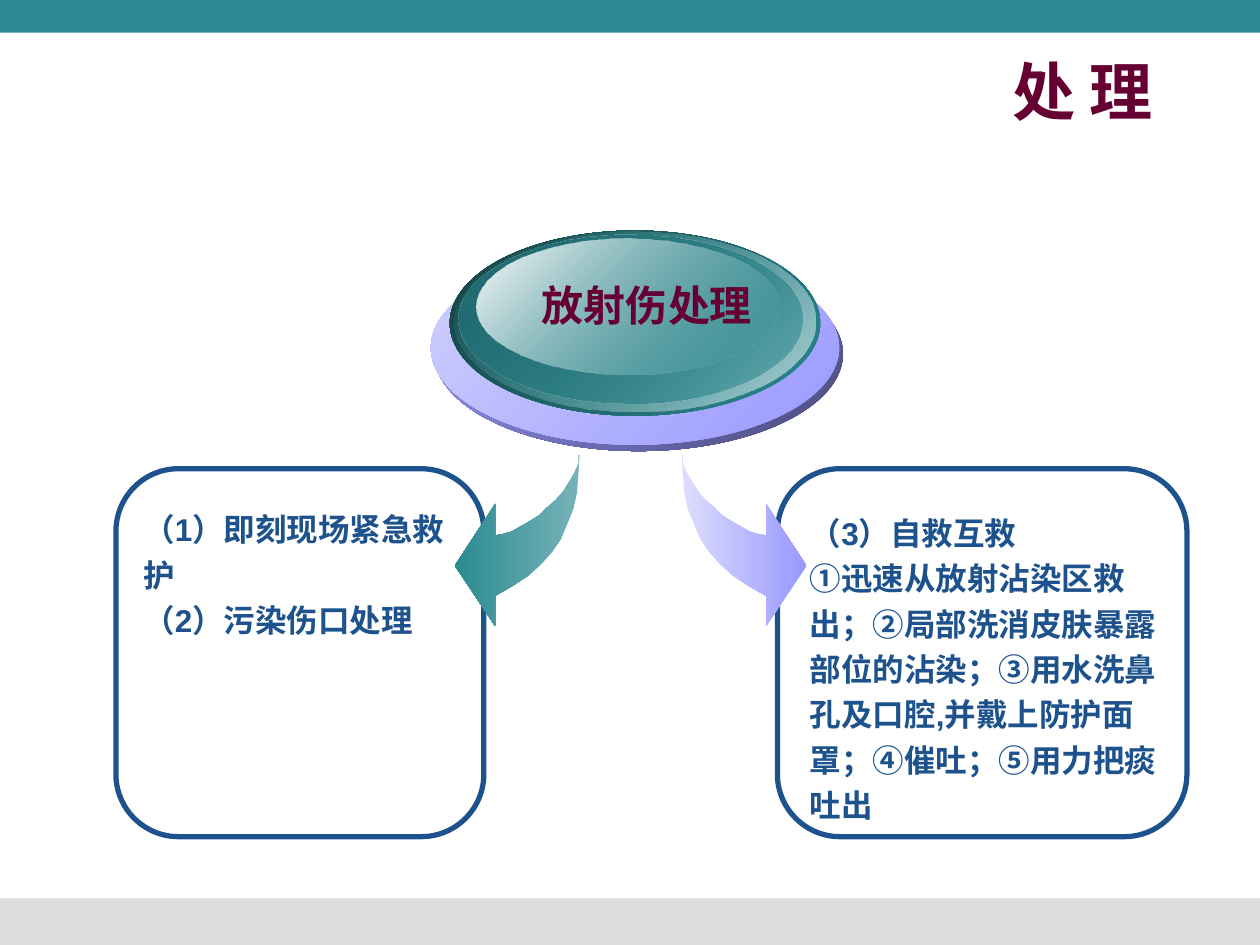
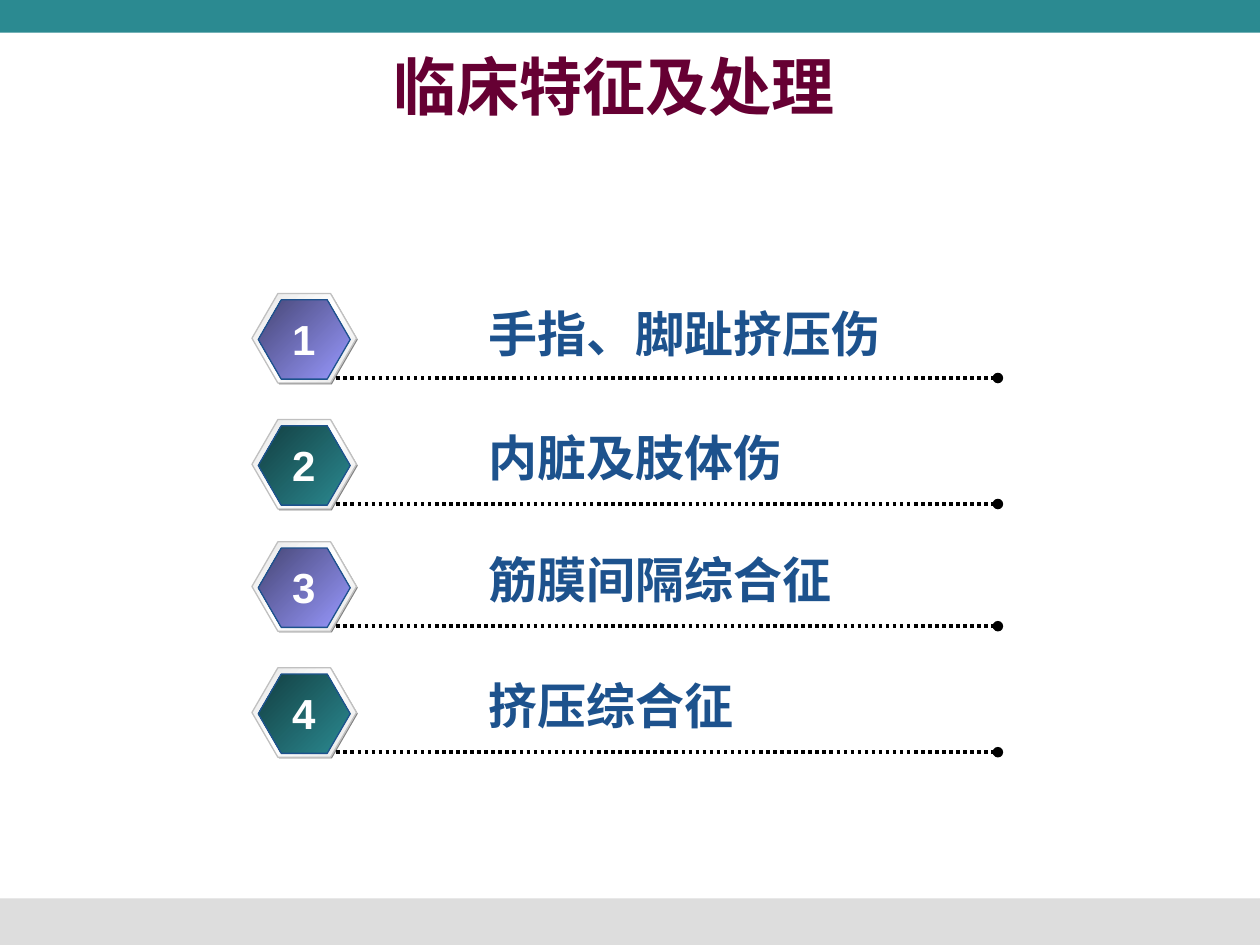
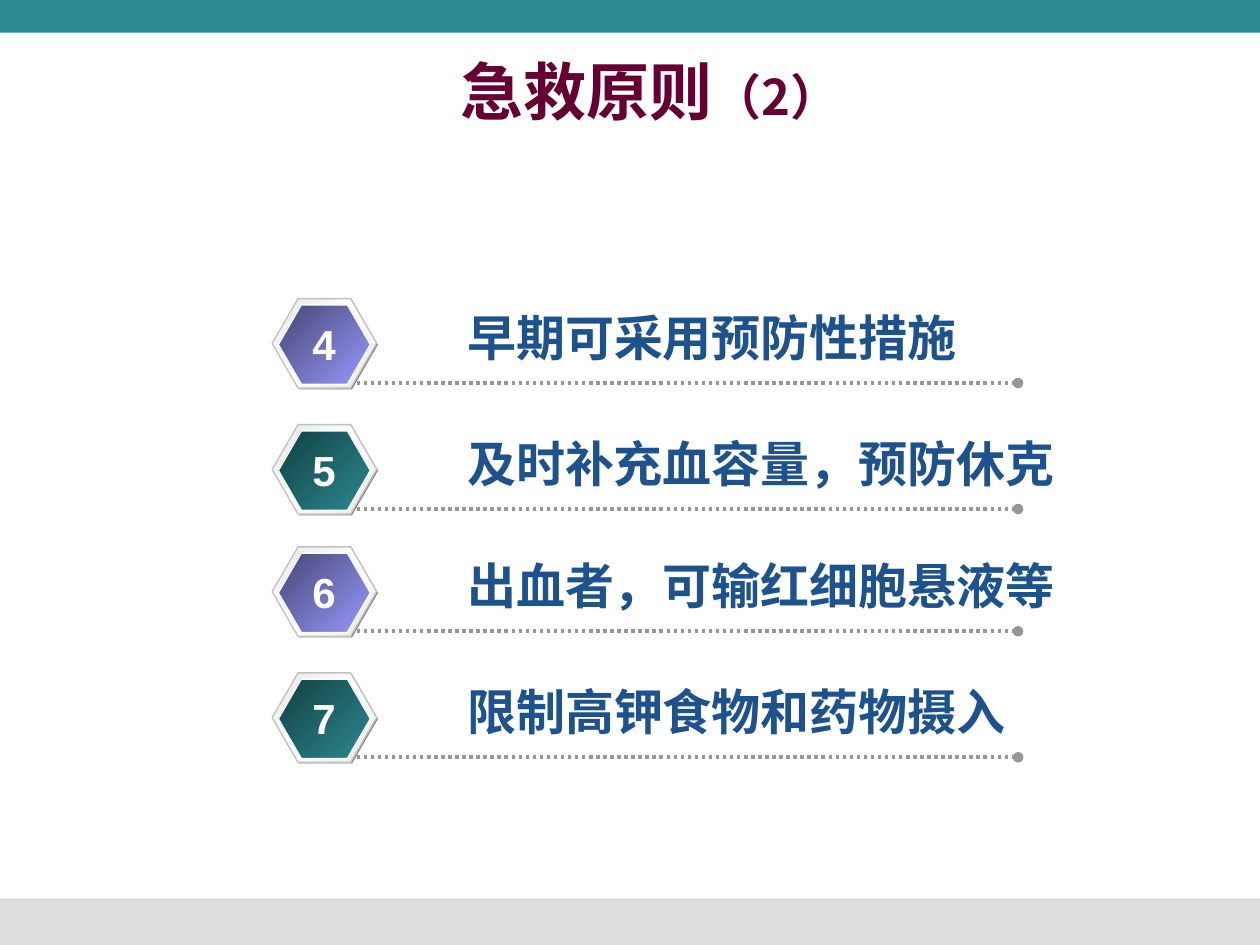
from typing import NamedTuple

from lxml.etree import SubElement
from pptx import Presentation
from pptx.dml.color import RGBColor
from pptx.enum.dml import MSO_LINE
from pptx.enum.shapes import MSO_CONNECTOR, MSO_SHAPE
from pptx.enum.text import MSO_ANCHOR, MSO_AUTO_SIZE, PP_ALIGN
from pptx.oxml.ns import qn
from pptx.util import Inches, Pt

LATIN_FONT = "Arial"
CHINESE_FONT = "Noto Sans CJK SC"

WHITE = RGBColor(0xFF, 0xFF, 0xFF)
BLACK = RGBColor(0x00, 0x00, 0x00)
TEAL = RGBColor(0x2B, 0x8A, 0x91)
DARK_TEAL = RGBColor(0x13, 0x3F, 0x42)
MID_TEAL = RGBColor(0x21, 0x6C, 0x72)
SOFT_TEAL = RGBColor(0x77, 0xB3, 0xB8)
PALE_TEAL = RGBColor(0xB4, 0xD5, 0xD7)
VIOLET = RGBColor(0x99, 0x99, 0xFF)
DARK_VIOLET = RGBColor(0x46, 0x46, 0x75)
SHADE_VIOLET = RGBColor(0x4A, 0x4A, 0x7B)
PALE_VIOLET = RGBColor(0xD0, 0xD0, 0xFE)
MIST_VIOLET = RGBColor(0xDD, 0xDD, 0xFE)
BLUE = RGBColor(0x1D, 0x52, 0x8D)
WINE = RGBColor(0x66, 0x00, 0x33)
FOOTER_GRAY = RGBColor(0xDD, 0xDD, 0xDD)
SHADOW_GRAY = RGBColor(0x80, 0x80, 0x80)
RIM_GRAY = RGBColor(0xE6, 0xE6, 0xE6)
EDGE_GRAY = RGBColor(0xC0, 0xC0, 0xC0)
RULE_GRAY = RGBColor(0x96, 0x96, 0x96)


class Box(NamedTuple):
    """Position and size in inches."""

    left: float
    top: float
    width: float
    height: float

    def lengths(self) -> list:
        """Return the four values as lengths."""
        return [Inches(value) for value in self]


class Stop(NamedTuple):
    """One gradient stop, with position and opacity in percent."""

    position: int
    color: RGBColor
    opacity: int = 100


class Gradient(NamedTuple):
    """Gradient stops and a clockwise angle."""

    stops: tuple
    angle: int = 225


class Outline(NamedTuple):
    """Line colour and width in points."""

    color: RGBColor
    width: float


class Piece(NamedTuple):
    """A run of text with its own look."""

    text: str
    size: float
    color: RGBColor
    font: str = LATIN_FONT


class Panel(NamedTuple):
    """A rounded frame with a text block on it."""

    frame: Box
    text_box: Box
    lines: tuple


class ListStyle(NamedTuple):
    """Placing and colours of a numbered hexagon list."""

    left: float
    top: float
    label_shift: float
    label_drops: tuple
    badge_edge: RGBColor
    rule: RGBColor


def blend(first: RGBColor, last: RGBColor, angle: int = 225) -> Gradient:
    """Return an opaque gradient of two colours."""
    return Gradient((Stop(0, first), Stop(100, last)), angle)


VIOLET_BADGE = blend(VIOLET, DARK_VIOLET)
TEAL_BADGE = blend(TEAL, DARK_TEAL)
RIM = Gradient((Stop(0, RIM_GRAY), Stop(50, WHITE), Stop(100, RIM_GRAY)))

DISC_LAYERS = (
    (Box(3.45, 2.04, 3.24, 1.54), blend(SHADE_VIOLET, VIOLET)),
    (Box(3.42, 1.99, 3.24, 1.54), blend(VIOLET, PALE_VIOLET)),
    (Box(3.57, 1.83, 2.94, 1.47), TEAL_BADGE),
    (Box(3.61, 1.84, 2.86, 1.43), Gradient((Stop(0, PALE_TEAL), Stop(100, TEAL, 0)))),
    (Box(3.64, 1.86, 2.73, 1.34), Gradient((Stop(0, TEAL, 48), Stop(100, MID_TEAL)))),
    (Box(3.78, 1.89, 2.4, 1.08), Gradient((Stop(0, TEAL, 38), Stop(100, WHITE)))),
)

PANELS = (
    Panel(
        Box(0.92, 3.72, 2.92, 2.92),
        Box(1.04, 3.94, 2.6, 1.18),
        ("（1）即刻现场紧急救护", "（2）污染伤口处理"),
    ),
    Panel(
        Box(6.17, 3.72, 3.25, 2.92),
        Box(6.33, 3.97, 3.17, 2.26),
        (
            "（3）自救互救",
            "①迅速从放射沾染区救出；②局部洗消皮肤暴露部位的沾染；"
            "③用水洗鼻孔及口腔,并戴上防护面罩；④催吐；⑤用力把痰吐出",
        ),
    ),
)

LEFT_ARROW = (
    (4.6, 3.61), (4.59, 3.77), (4.58, 3.91), (4.55, 4.04), (4.5, 4.16),
    (4.45, 4.28), (4.38, 4.38), (4.29, 4.48), (4.19, 4.57), (4.07, 4.65),
    (3.93, 4.73), (3.93, 4.97), (3.61, 4.49), (3.93, 4), (3.93, 4.25),
    (3.99, 4.24), (4.06, 4.22), (4.13, 4.18), (4.2, 4.14), (4.28, 4.09),
    (4.34, 4.03), (4.41, 3.97), (4.47, 3.9), (4.52, 3.82), (4.56, 3.75),
    (4.59, 3.68), (4.59, 3.61),
)
MIRROR_SUM = 10.01
RIGHT_ARROW = tuple((MIRROR_SUM - x, y) for x, y in LEFT_ARROW)

ROW_OFFSETS = (0, 1, 1.97, 2.97)
LABEL_SIZE = 28


def apply_fill(shape, fill) -> None:
    """Fill a shape with a colour, a gradient or nothing."""
    if fill is None:
        shape.fill.background()
    elif isinstance(fill, Gradient):
        shape.fill.gradient()
        shape.fill.gradient_angle = (360 - fill.angle) % 360
        stop_list = shape._element.spPr.find(qn("a:gradFill")).find(qn("a:gsLst"))
        for element in list(stop_list):
            stop_list.remove(element)
        for stop in fill.stops:
            element = SubElement(stop_list, qn("a:gs"), pos=str(stop.position * 1000))
            color = SubElement(element, qn("a:srgbClr"), val=str(stop.color))
            if stop.opacity < 100:
                SubElement(color, qn("a:alpha"), val=str(stop.opacity * 1000))
    else:
        shape.fill.solid()
        shape.fill.fore_color.rgb = fill


def style_shape(shape, fill, outline: Outline | None = None) -> None:
    """Give a shape its fill and outline and take away its shadow."""
    shape.shadow.inherit = False
    apply_fill(shape, fill)
    if outline is None:
        shape.line.fill.background()
    else:
        shape.line.color.rgb = outline.color
        shape.line.width = Pt(outline.width)


def add_figure(slide, kind, box: Box, fill, outline: Outline | None = None):
    """Add a styled preset shape."""
    shape = slide.shapes.add_shape(kind, *box.lengths())
    style_shape(shape, fill, outline)
    return shape


def add_run(paragraph, piece: Piece) -> None:
    """Add a bold run to a paragraph."""
    run = paragraph.add_run()
    run.text = piece.text
    run.font.size = Pt(piece.size)
    run.font.bold = True
    run.font.color.rgb = piece.color
    run.font.name = piece.font
    latin = run._r.get_or_add_rPr().find(qn("a:latin"))
    east_asian = SubElement(run._r.rPr, qn("a:ea"), typeface=CHINESE_FONT)
    latin.addnext(east_asian)


def add_text(slide, box: Box, pieces, alignment=PP_ALIGN.LEFT, wrap=True, spacing=1.0) -> None:
    """Add a text box with one piece in each paragraph."""
    frame = slide.shapes.add_textbox(*box.lengths()).text_frame
    frame.word_wrap = wrap
    frame.auto_size = MSO_AUTO_SIZE.SHAPE_TO_FIT_TEXT
    for index, piece in enumerate(pieces):
        paragraph = frame.add_paragraph() if index else frame.paragraphs[0]
        paragraph.alignment = alignment
        paragraph.line_spacing = spacing
        paragraph._p.get_or_add_pPr().set("hangingPunct", "0")
        add_run(paragraph, piece)


def add_slide(presentation, title_box: Box, pieces, alignment=PP_ALIGN.CENTER):
    """Add a slide with the shared bands and a title."""
    slide = presentation.slides.add_slide(presentation.slide_layouts[5])
    add_figure(slide, MSO_SHAPE.RECTANGLE, Box(0, 7.13, 10, 0.37), FOOTER_GRAY)
    add_figure(slide, MSO_SHAPE.RECTANGLE, Box(0, 0, 10, 0.26), TEAL)
    title = slide.shapes.title
    title.left, title.top, title.width, title.height = title_box.lengths()
    frame = title.text_frame
    frame.auto_size = MSO_AUTO_SIZE.NONE
    frame.vertical_anchor = MSO_ANCHOR.MIDDLE
    paragraph = frame.paragraphs[0]
    paragraph.alignment = alignment
    for text, size in pieces:
        add_run(paragraph, Piece(text, size, WINE, CHINESE_FONT))
    return slide


def add_panel(slide, panel: Panel) -> None:
    """Add a rounded frame and its text."""
    frame = add_figure(slide, MSO_SHAPE.ROUNDED_RECTANGLE, panel.frame, None, Outline(BLUE, 3))
    frame.adjustments[0] = 0.17
    pieces = [Piece(line, 18, BLUE) for line in panel.lines]
    add_text(slide, panel.text_box, pieces, spacing=1.2)


def add_arrow(slide, points, fill: Gradient) -> None:
    """Add a curved arrow through the given points."""
    start, *others = [(Inches(x), Inches(y)) for x, y in points]
    builder = slide.shapes.build_freeform(*start)
    builder.add_line_segments(others, close=True)
    style_shape(builder.convert_to_shape(), fill)


def add_dotted_rule(slide, left: float, top: float, color: RGBColor) -> None:
    """Add a dotted line that ends in a round dot."""
    rule = slide.shapes.add_connector(
        MSO_CONNECTOR.STRAIGHT, Inches(left), Inches(top), Inches(left + 5.25), Inches(top)
    )
    rule.line.color.rgb = color
    rule.line.width = Pt(2)
    rule.line.dash_style = MSO_LINE.ROUND_DOT
    properties = rule._element.spPr
    SubElement(properties.find(qn("a:ln")), qn("a:tailEnd"), type="oval")
    SubElement(properties, qn("a:effectLst"))


def add_badge(slide, style: ListStyle, top: float, number: int, fill: Gradient) -> None:
    """Add the layered hexagon of a list row."""
    left = style.left
    hexagons = (
        (Box(left + 0.01, top + 0.01, 0.83, 0.71), SHADOW_GRAY, None),
        (Box(left, top, 0.83, 0.71), RIM, Outline(EDGE_GRAY, 0.75)),
        (Box(left + 0.05, top + 0.05, 0.73, 0.63), fill, Outline(style.badge_edge, 0.75)),
    )
    for box, hexagon_fill, outline in hexagons:
        hexagon = add_figure(slide, MSO_SHAPE.HEXAGON, box, hexagon_fill, outline)
        hexagon.adjustments[0] = 0.29
    number_box = Box(left + 0.22, top + 0.11, 0.38, 0.5)
    add_text(slide, number_box, [Piece(str(number), 24, WHITE)], PP_ALIGN.CENTER, wrap=False)


def add_numbered_list(slide, style: ListStyle, first_number: int, labels) -> None:
    """Add the rows of a list with badges in turn violet and teal."""
    for index, (offset, drop, label) in enumerate(zip(ROW_OFFSETS, style.label_drops, labels)):
        top = style.top + offset
        fill = TEAL_BADGE if index % 2 else VIOLET_BADGE
        add_badge(slide, style, top, first_number + index, fill)
        add_dotted_rule(slide, style.left + 0.67, top + 0.67, style.rule)
        label_width = len(label) * LABEL_SIZE / 72 + 0.35
        label_box = Box(style.left + style.label_shift, top + drop, label_width, 0.57)
        add_text(slide, label_box, [Piece(label, LABEL_SIZE, BLUE)])


def build_radiation_slide(presentation) -> None:
    """Build the slide on treating radiation injury."""
    slide = add_slide(presentation, Box(0.58, 0.41, 8.67, 0.62), [("处 理", 36)], PP_ALIGN.RIGHT)
    left_panel, right_panel = PANELS
    add_panel(slide, left_panel)
    add_arrow(slide, LEFT_ARROW, blend(SOFT_TEAL, TEAL, 180))
    for box, fill in DISC_LAYERS:
        add_figure(slide, MSO_SHAPE.OVAL, box, fill)
    heading = Piece("放射伤处理", 24, WINE, CHINESE_FONT)
    add_text(slide, Box(4.05, 2.17, 2.17, 0.5), [heading], PP_ALIGN.CENTER, wrap=False)
    add_panel(slide, right_panel)
    add_arrow(slide, RIGHT_ARROW, blend(MIST_VIOLET, VIOLET, 0))


def build_features_slide(presentation) -> None:
    """Build the slide on clinical features."""
    slide = add_slide(presentation, Box(0.16, 0.37, 9.42, 0.62), [("临床特征及处理", 36)])
    labels = ("手指、脚趾挤压伤", "内脏及肢体伤", "筋膜间隔综合征", "挤压综合征")
    style = ListStyle(2, 2.33, 1.78, (0.03, 0.01, 0.01, 0.01), BLUE, BLACK)
    add_numbered_list(slide, style, 1, labels)


def build_principles_slide(presentation) -> None:
    """Build the slide on first-aid principles."""
    pieces = [("急救原则", 36), ("（2）", 28)]
    slide = add_slide(presentation, Box(0.58, 0.41, 9.16, 0.62), pieces)
    labels = (
        "早期可采用预防性措施",
        "及时补充血容量，预防休克",
        "出血者，可输红细胞悬液等",
        "限制高钾食物和药物摄入",
    )
    style = ListStyle(2.16, 2.37, 1.45, (0.02,) * len(labels), WHITE, RULE_GRAY)
    add_numbered_list(slide, style, 4, labels)


def main() -> None:
    """Build and save the presentation."""
    presentation = Presentation()
    presentation.slide_width = Inches(10)
    presentation.slide_height = Inches(7.5)
    build_radiation_slide(presentation)
    build_features_slide(presentation)
    build_principles_slide(presentation)
    presentation.save("out.pptx")


if __name__ == "__main__":
    main()
